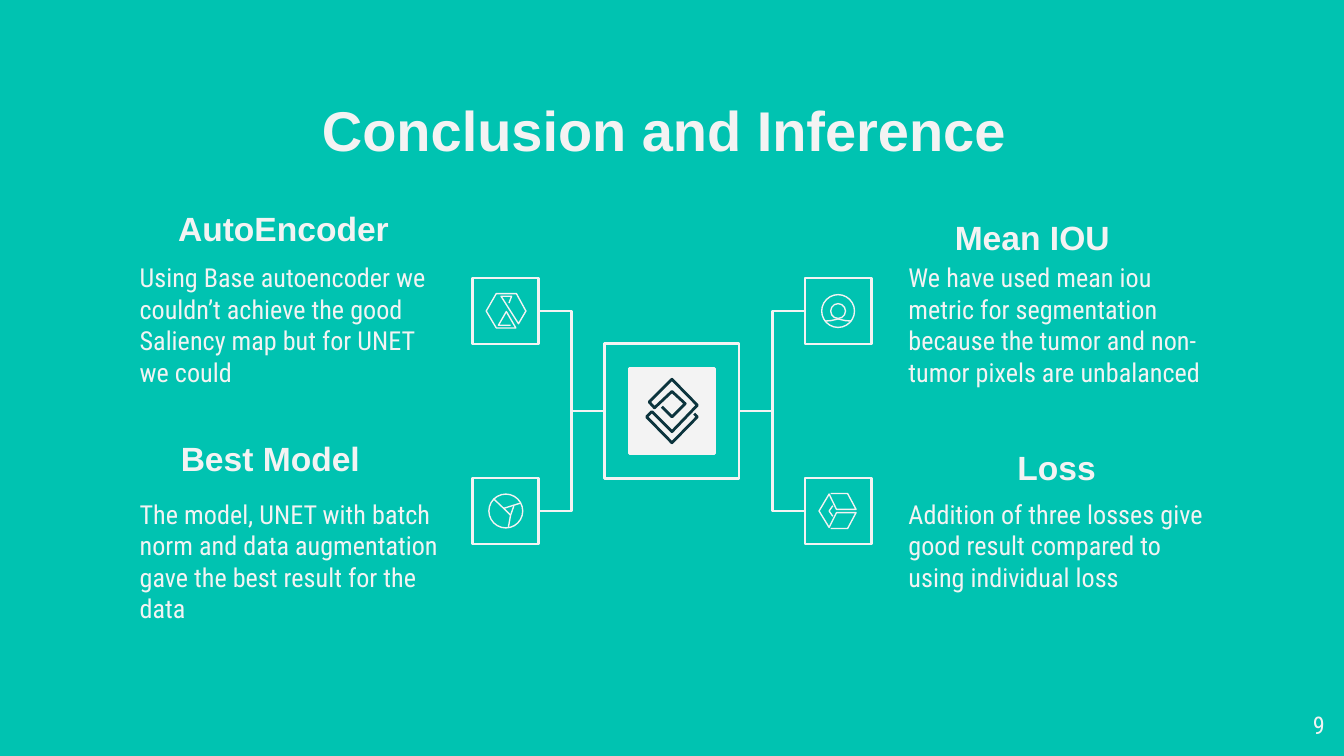
from dataclasses import dataclass

from lxml import etree
from pptx import Presentation
from pptx.dml.color import RGBColor
from pptx.enum.shapes import MSO_CONNECTOR, MSO_SHAPE
from pptx.enum.text import MSO_ANCHOR, MSO_AUTO_SIZE, PP_ALIGN
from pptx.oxml.ns import qn
from pptx.util import Cm, Pt

RECT, OVAL = MSO_SHAPE.RECTANGLE, MSO_SHAPE.OVAL
ELBOW = MSO_CONNECTOR.ELBOW
LEFT, CENTER, RIGHT = PP_ALIGN.LEFT, PP_ALIGN.CENTER, PP_ALIGN.RIGHT
TOP, MIDDLE = MSO_ANCHOR.TOP, MSO_ANCHOR.MIDDLE


@dataclass
class Theme:
    teal: RGBColor = RGBColor(0x00, 0xC3, 0xB1)
    light: RGBColor = RGBColor(0xF3, 0xF3, 0xF3)
    dark: RGBColor = RGBColor(0x0C, 0x34, 0x3D)
    head_font: str = "Arial"
    body_font: str = "Roboto Condensed"
    title: Pt = Pt(30)
    heading: Pt = Pt(18)
    body: Pt = Pt(14)
    number: Pt = Pt(13)
    frame: Pt = Pt(1.5)
    icon: Pt = Pt(0.75)


theme = Theme()


def write(sp, text, size, font, align, anchor=TOP, bold=False):
    tf = sp.text_frame
    tf.word_wrap = True
    tf.auto_size = MSO_AUTO_SIZE.NONE
    tf.vertical_anchor = anchor
    tf.margin_left = tf.margin_right = tf.margin_top = tf.margin_bottom = Cm(0.25)
    p = tf.paragraphs[0]
    p.text = text
    p.alignment = align
    p.font.size, p.font.name, p.font.bold = size, font, bold
    p.font.color.rgb = theme.light


def outline(sp, color, width):
    sp.shadow.inherit = False
    sp.fill.background()
    sp.line.color.rgb = color
    sp.line.width = width


prs = Presentation()
prs.slide_width, prs.slide_height = Cm(25.4), Cm(14.29)
s = prs.slides.add_slide(prs.slide_layouts[5])
s.background.fill.solid()
s.background.fill.fore_color.rgb = theme.teal

# Title
title = s.shapes.title
title.left, title.top, title.width, title.height = Cm(2), Cm(1.55), Cm(21.4), Cm(1.6)
write(title, "Conclusion and Inference ", theme.title, theme.head_font, CENTER, bold=True)

# Headings: text, left, top, width, height, anchor
headings = [
    ("AutoEncoder", 2.26, 3.81, 6.2, 1.02, MIDDLE),
    ("Mean IOU", 16.46, 4.14, 6.1, 0.69, MIDDLE),
    ("Best Model", 2.01, 8.03, 6.2, 1.02, TOP),
    ("Loss", 16.92, 8.2, 6.1, 1.02, TOP),
]
for text, x, y, w, h, anchor in headings:
    sp = s.shapes.add_textbox(Cm(x), Cm(y), Cm(w), Cm(h))
    write(sp, text, theme.heading, theme.head_font, CENTER, anchor, True)

# Body texts: text, left, top, width
bodies = [
    ("Using Base autoencoder we couldn’t achieve the good Saliency map "
     "but for UNET we could", 2.39, 4.7, 6.2),
    ("We have used mean iou metric for segmentation because the tumor "
     "and non-tumor pixels are unbalanced", 16.92, 4.7, 6.1),
    ("The model, UNET with batch norm and data augmentation gave the best "
     "result for the data", 2.39, 9.17, 6.2),
    ("Addition of three losses give good result compared to using "
     "individual loss", 16.92, 9.17, 6.1),
]
for text, x, y, w in bodies:
    sp = s.shapes.add_textbox(Cm(x), Cm(y), Cm(w), Cm(1.96))
    write(sp, text, theme.body, theme.body_font, LEFT)

# Hub: framed square with a filled core
hub_x, hub_y = 12.7, 7.77
hub, core, node = 2.54, 1.6, 1.25
for size in (hub, core):
    sp = s.shapes.add_shape(RECT, Cm(hub_x - size / 2), Cm(hub_y - size / 2), Cm(size), Cm(size))
    outline(sp, theme.light, theme.frame)
sp.fill.solid()
sp.fill.fore_color.rgb = theme.light

# Four nodes around the hub, each joined to it by an elbow
nodes = [(hub_x + 3.14 * dx, hub_y + 1.89 * dy, dx) for dy in (-1, 1) for dx in (-1, 1)]
for x, y, dx in nodes:
    sp = s.shapes.add_shape(RECT, Cm(x - node / 2), Cm(y - node / 2), Cm(node), Cm(node))
    outline(sp, theme.light, theme.frame)
    line = s.shapes.add_connector(
        ELBOW, Cm(hub_x + dx * hub / 2), Cm(hub_y), Cm(x - dx * node / 2), Cm(y))
    line.line.color.rgb = theme.light
    line.line.width = theme.frame
    etree.SubElement(line._element.spPr, qn("a:effectLst"))

# Icons: circle radii and strokes, in tenths of a millimetre from the icon centre
hourglass = [(6, -15), (11, -28), (-9, -28), (24, 24), (38, 0), (20, -33), (-18, -33),
             (-37, 0), (-18, 32), (19, 32), (1, 1), (-14, 27), (9, 27)]
shoulders = [(-25, 19), (-13, 18), (0, 15), (13, 18), (25, 19)]
pie_cuts = [[(-23, -23), (-4, -5), (9, 8), (5, 30)],
            [(-4, -5), (28, -15)],
            [(9, 8), (15, -9)]]
cube = [(-14, -33), (18, -33), (34, -3), (-3, -3), (-17, -32), (-36, 0),
        (-17, 31), (-3, 3), (34, 3), (18, 33), (-14, 33)]
cube_edge = [(-10, -10), (-17, 0), (-10, 10)]
spiral = [(-19, -8), (0, 11), (25, -14), (0, -37), (-33, -6), (-43, -17), (0, -60),
          (48, -11), (0, 39), (-38, 1), (-48, 11), (0, 60), (48, 11), (42, 5)]

node_icons = [([], [hourglass]), ([31, 14], [shoulders]), ([32], pie_cuts), ([], [cube, cube_edge])]
icons = [(x, y, radii, strokes, theme.light, theme.icon)
         for (x, y, _), (radii, strokes) in zip(nodes, node_icons)]
icons.append((hub_x, hub_y, [], [spiral], theme.dark, theme.frame))

for x, y, radii, strokes, color, width in icons:
    for r in radii:
        sp = s.shapes.add_shape(
            OVAL, Cm(x - r / 100), Cm(y - r / 100), Cm(r / 50), Cm(r / 50))
        outline(sp, color, width)
    for stroke in strokes:
        fb = s.shapes.build_freeform(*stroke[0], scale=Cm(0.01))
        fb.add_line_segments(stroke[1:], close=False)
        outline(fb.convert_to_shape(Cm(x), Cm(y)), color, width)

# Slide number
sp = s.shapes.add_textbox(Cm(23.77), Cm(13.18), Cm(1.52), Cm(1.09))
write(sp, "9", theme.number, theme.body_font, RIGHT)

prs.save("out.pptx")
